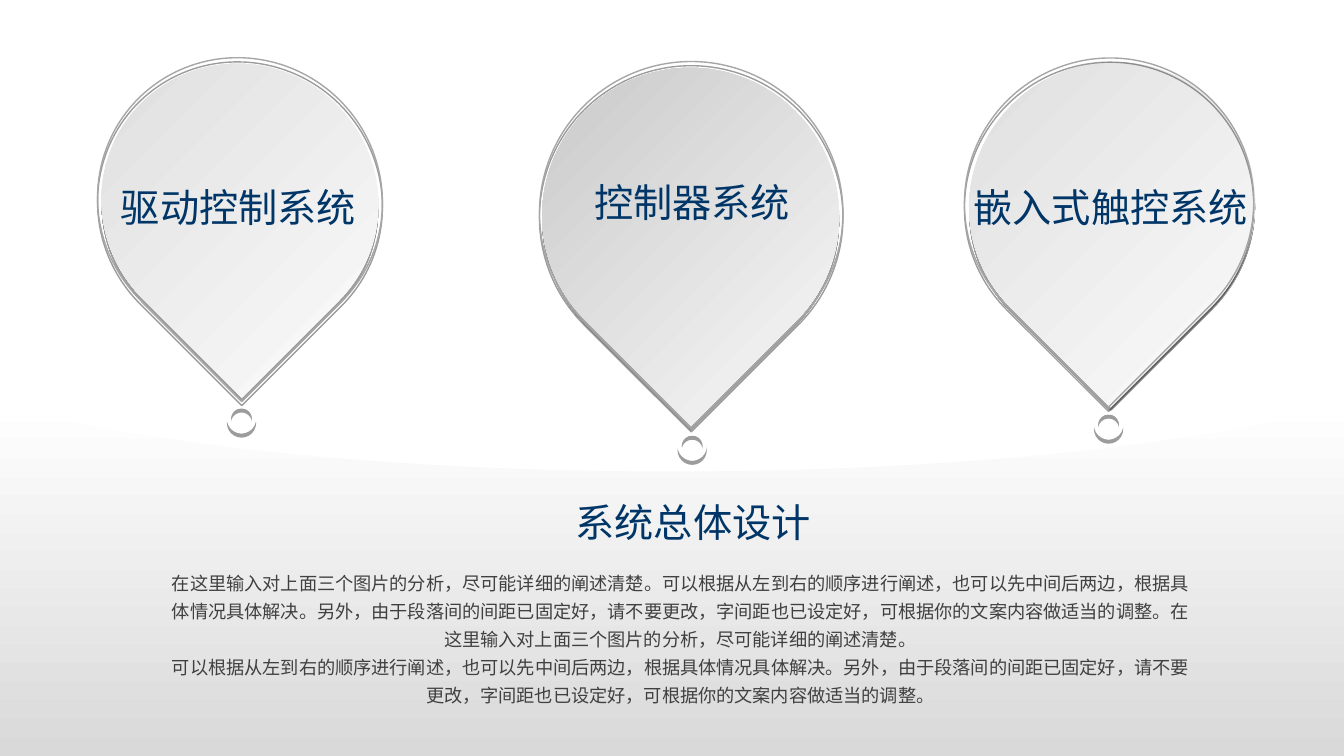
from lxml.etree import SubElement
from pptx import Presentation
from pptx.dml.color import RGBColor
from pptx.enum.shapes import MSO_SHAPE as Preset
from pptx.enum.text import MSO_AUTO_SIZE as AutoSize, PP_ALIGN as Align
from pptx.oxml.ns import qn
from pptx.util import Inches, Pt

COLORS = {
    "white": "FFFFFF",
    "light": "D9D9D9",
    "middle": "BFBFBF",
    "outline": "A6A6A6",
    "shadow": "000000",
    "title": "003567",
    "body": "404040",
}
FONT = "Noto Sans CJK SC"

DROPS = [
    ("驱动控制系统", (0.93, 1.77, 2.87, 0.57), (1.02, 0.62, 2.72, 2.77),
     (0.98, 0.56, 2.8, 2.85), (2.25, 4.01), "light"),
    ("控制器系统", (5.72, 1.72, 2.29, 0.57), (5.38, 0.67, 2.94, 2.95),
     (5.35, 0.61, 3.01, 3.01), (6.72, 4.28), "middle"),
    ("嵌入式触控系统", (9.54, 1.77, 2.95, 0.57), (9.6, 0.63, 2.86, 2.81),
     (9.56, 0.58, 2.88, 2.86), (10.85, 4.07), "light"),
]

BODY = [
    "在这里输入对上面三个图片的分析，尽可能详细的阐述清楚。可以根据从左到右的顺序进行阐述，"
    "也可以先中间后两边，根据具体情况具体解决。另外，由于段落间的间距已固定好，请不要更改，"
    "字间距也已设定好，可根据你的文案内容做适当的调整。"
    "在这里输入对上面三个图片的分析，尽可能详细的阐述清楚。",
    "可以根据从左到右的顺序进行阐述，也可以先中间后两边，根据具体情况具体解决。另外，"
    "由于段落间的间距已固定好，请不要更改，字间距也已设定好，可根据你的文案内容做适当的调整。",
]


def color(name):
    return RGBColor.from_string(COLORS[name])


def bezier(points, steps=24):
    (ax, ay), (bx, by), (cx, cy), (dx, dy) = points
    for step in range(steps + 1):
        t = step / steps
        u = 1 - t
        weights = u**3, 3 * u * u * t, 3 * u * t * t, t**3
        yield (sum(w * x for w, x in zip(weights, (ax, bx, cx, dx))),
               sum(w * y for w, y in zip(weights, (ay, by, cy, dy))))


class SlidePainter:
    def __init__(self, page, font):
        self.shapes = page.shapes
        self.font = font

    def preset(self, kind, place):
        shape = self.shapes.add_shape(kind, *map(Inches, place))
        self.drop_shadow(shape)
        return shape

    def drop_shadow(self, shape):
        shape.shadow.inherit = False
        effects = shape._element.spPr.find(qn("a:effectLst"))
        shadow = SubElement(effects, qn("a:outerShdw"), blurRad="0",
                            dist=str(Pt(3)), dir="5400000", algn="t", rotWithShape="0")
        tint = SubElement(shadow, qn("a:srgbClr"), val=COLORS["shadow"])
        SubElement(tint, qn("a:alpha"), val="39000")

    def gradient(self, shape, end):
        shape.fill.gradient()
        shape.fill.gradient_angle = 270
        for stop, name, position in zip(shape.fill.gradient_stops, ("white", end), (0, 1)):
            stop.color.rgb = color(name)
            stop.position = position
        shape.line.fill.background()

    def drop(self, place, end):
        shape = self.preset(Preset.TEAR, place)
        shape.rotation = 135
        self.gradient(shape, end)

    def drop_outline(self, place):
        shape = self.preset(Preset.TEAR, place)
        shape.rotation = 135
        shape.fill.background()
        shape.line.color.rgb = color("outline")
        shape.line.width = Pt(1)

    def ring(self, corner):
        shape = self.preset(Preset.DONUT, (*corner, 0.29, 0.29))
        shape.adjustments[0] = 0.14
        shape.fill.solid()
        shape.fill.fore_color.rgb = color("white")
        shape.line.fill.background()

    def floor(self):
        left = list(bezier([(0.21, 4.06), (1.61, 4.44), (3.98, 4.68), (6.66, 4.68)]))
        right = [(13.33 - x, y) for x, y in reversed(left)]
        outline = [(0, 4), *left, *right, (13.33, 3.99), (13.33, 7.5)]
        builder = self.shapes.build_freeform(0, Inches(7.5))
        builder.add_line_segments([(Inches(x), Inches(y)) for x, y in outline])
        shape = builder.convert_to_shape()
        shape.shadow.inherit = False
        self.gradient(shape, "light")

    def text(self, place, lines, size=28, tone="title", spacing=None):
        box = self.shapes.add_textbox(*map(Inches, place))
        frame = box.text_frame
        frame.word_wrap = True
        frame.auto_size = AutoSize.SHAPE_TO_FIT_TEXT
        for index, line in enumerate(lines):
            para = frame.add_paragraph() if index else frame.paragraphs[0]
            para.alignment = Align.CENTER
            para.line_spacing = spacing
            span = para.add_run()
            span.text = line
            span.font.size = Pt(size)
            span.font.name = self.font
            span.font.color.rgb = color(tone)
            SubElement(span.font._element, qn("a:ea"), typeface=self.font)


def main():
    deck = Presentation()
    deck.slide_width, deck.slide_height = Inches(13.33), Inches(7.5)
    page = deck.slides.add_slide(deck.slide_layouts[6])
    painter = SlidePainter(page, FONT)

    for label, label_place, drop_place, outline_place, ring_corner, end in DROPS:
        painter.drop(drop_place, end)
        painter.ring(ring_corner)
    painter.floor()
    painter.text((1.57, 5.57, 10.35, 1.5), BODY, 13, "body", Pt(20))
    painter.text((3.64, 4.89, 6.47, 0.57), ["系统总体设计"])
    for label, label_place, drop_place, outline_place, ring_corner, end in DROPS:
        painter.drop_outline(outline_place)
        painter.text(label_place, [label])

    deck.save("out.pptx")


if __name__ == "__main__":
    main()
